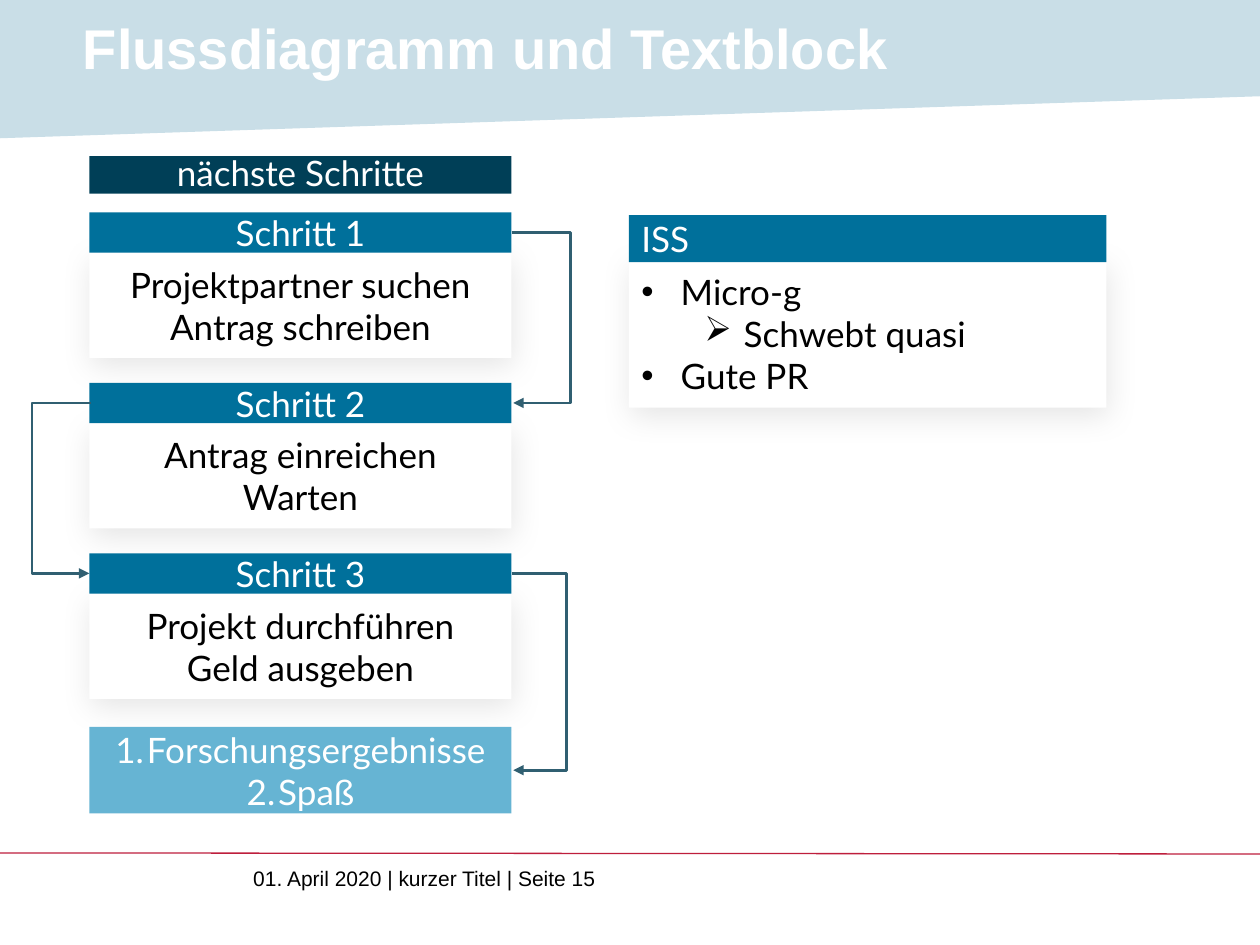
from lxml import etree
from pptx import Presentation
from pptx.dml.color import RGBColor
from pptx.enum.shapes import MSO_CONNECTOR, MSO_SHAPE
from pptx.enum.text import MSO_ANCHOR, PP_ALIGN
from pptx.oxml.ns import qn
from pptx.util import Pt

RECTANGLE = MSO_SHAPE.RECTANGLE
STRAIGHT, ELBOW = MSO_CONNECTOR.STRAIGHT, MSO_CONNECTOR.ELBOW
TOP, MIDDLE = MSO_ANCHOR.TOP, MSO_ANCHOR.MIDDLE
LEFT, CENTER = PP_ALIGN.LEFT, PP_ALIGN.CENTER

COLORS = {
    "band": "2F81A3", "dark": "003F57", "header": "00709B", "result": "66B4D3",
    "arrow": "305F71", "rule": "BE1E3C", "white": "FFFFFF", "black": "000000",
}
BODY_FONT = {"name": "Lato", "size": Pt(20), "bold": False}
TITLE_FONT = {"name": "Arial", "size": Pt(32), "bold": True}
FOOTER_FONT = {"name": "Arial", "size": Pt(12), "bold": False}


def write(shape, lines, color, font_format, align=LEFT, anchor=MIDDLE):
    """Fill the shape with (text, level, margin, hanging, bullet) lines; a plain string has no bullet."""
    frame = shape.text_frame
    frame.word_wrap = True
    frame.vertical_anchor = anchor
    for index, line in enumerate(lines):
        paragraph = frame.paragraphs[0] if index == 0 else frame.add_paragraph()
        if isinstance(line, tuple):
            line, level, margin, hanging, bullet = line
            paragraph.level = level
            properties = paragraph._p.get_or_add_pPr()
            properties.set("marL", str(Pt(margin)))
            properties.set("indent", str(-Pt(hanging)))
            if bullet == "1.":
                etree.SubElement(properties, qn("a:buAutoNum"), type="arabicPeriod")
            else:
                typeface = "Arial" if bullet == "•" else "Wingdings"
                if bullet == "•":
                    etree.SubElement(properties, qn("a:buFont"), typeface=typeface)
                etree.SubElement(properties, qn("a:buChar"), char=bullet)
        paragraph.alignment = align
        run = paragraph.add_run()
        run.text = line
        for name, value in font_format.items():
            setattr(run.font, name, value)
        run.font.color.rgb = RGBColor.from_string(COLORS[color])


def add_box(left, top, width, height, fill, lines, color="white", align=CENTER, shadow=False):
    shape = slide.shapes.add_shape(RECTANGLE, Pt(left), Pt(top), Pt(width), Pt(height))
    shape.fill.solid()
    shape.fill.fore_color.rgb = RGBColor.from_string(COLORS[fill])
    shape.line.fill.background()
    shape.shadow.inherit = False
    if shadow:
        effects = shape._element.spPr.find(qn("a:effectLst"))
        outer = etree.SubElement(effects, qn("a:outerShdw"), blurRad=str(Pt(18)), dist=str(Pt(5)),
                                 dir=str(78 * 60000), algn="t", rotWithShape="0")
        shade = etree.SubElement(outer, qn("a:srgbClr"), val=COLORS["black"])
        etree.SubElement(shade, qn("a:alpha"), val="10000")
    write(shape, lines, color, BODY_FONT, align)
    return shape


presentation = Presentation()
presentation.slide_width, presentation.slide_height = Pt(720), Pt(540)
slide = presentation.slides.add_slide(presentation.slide_layouts[6])

# Title band
builder = slide.shapes.build_freeform(0, 0)
builder.add_line_segments([(Pt(x), Pt(y)) for x, y in [(720, 0), (720, 55), (0, 79)]])
band = builder.convert_to_shape()
band.fill.solid()
band.fill.fore_color.rgb = RGBColor.from_string(COLORS["band"])
band_color = band._element.spPr.find(qn("a:solidFill"))[0]
etree.SubElement(band_color, qn("a:alpha"), val="26000")
band.line.fill.background()
band.shadow.inherit = False

title = slide.shapes.add_textbox(Pt(40.3), Pt(4.3), Pt(625.7), Pt(55.4))
write(title, ["Flussdiagramm und Textblock"], "white", TITLE_FONT, anchor=TOP)

# Flow column
COLUMN_LEFT, COLUMN_WIDTH = 51.1, 241.2
COLUMN_RIGHT = COLUMN_LEFT + COLUMN_WIDTH
STEP_TOP, STEP_PITCH, HEADER_HEIGHT, BODY_HEIGHT = 121.4, 97.4, 23, 60.2
RESULT_TOP, RESULT_HEIGHT = 415.4, 49.4

heading = add_box(COLUMN_LEFT, 89.2, COLUMN_WIDTH, 21.5, "dark", ["nächste Schritte"])
heading.text_frame.paragraphs[0].line_spacing = 0.9

steps = [
    ["Projektpartner suchen", "Antrag schreiben"],
    ["Antrag einreichen", "Warten"],
    ["Projekt durchführen", "Geld ausgeben"],
]
stops = []
for index, tasks in enumerate(steps):
    top = STEP_TOP + index * STEP_PITCH
    add_box(COLUMN_LEFT, top + HEADER_HEIGHT, COLUMN_WIDTH, BODY_HEIGHT, "white", tasks,
            color="black", shadow=True)
    add_box(COLUMN_LEFT, top, COLUMN_WIDTH, HEADER_HEIGHT, "header", [f"Schritt {index + 1}"])
    stops.append(top + HEADER_HEIGHT / 2)

results = [(text, 0, 18, 18, "1.") for text in ["Forschungsergebnisse", "Spaß"]]
add_box(COLUMN_LEFT, RESULT_TOP, COLUMN_WIDTH, RESULT_HEIGHT, "result", results)
stops.append(RESULT_TOP + RESULT_HEIGHT / 2)

# Text block
BLOCK_LEFT, BLOCK_WIDTH = 359.4, 272.8
facts = [
    ("Micro-g", 0, 22.5, 22.5, "•"),
    ("Schwebt quasi", 1, 58.5, 22.5, "➢"),
    ("Gute PR", 0, 22.5, 22.5, "•"),
]
add_box(BLOCK_LEFT, 148, BLOCK_WIDTH, 85, "white", facts, color="black", align=LEFT, shadow=True)
add_box(BLOCK_LEFT, 123, BLOCK_WIDTH, 26.8, "header", ["ISS"], align=LEFT)

# Lines: kind, start, end, colour, width, detour beside the column
routes = [(COLUMN_RIGHT, COLUMN_RIGHT + 1, 33.8), (COLUMN_LEFT + 1, COLUMN_LEFT, 34),
          (COLUMN_RIGHT, COLUMN_RIGHT + 1, 31.7)]
lines = [(STRAIGHT, (0, 487.4), (720, 488), "rule", 0.75, None)]
for (start, end, detour), start_y, end_y in zip(routes, stops, stops[1:]):
    lines.append((ELBOW, (start, start_y), (end, end_y), "arrow", 1.5, detour))

for kind, start, end, color, width, detour in lines:
    connector = slide.shapes.add_connector(kind, *map(Pt, start + end))
    connector.line.color.rgb = RGBColor.from_string(COLORS[color])
    connector.line.width = Pt(width)
    properties = connector._element.spPr
    if detour:
        # The elbow is one point wide, so the adjustment counts points.
        guides = properties.find(qn("a:prstGeom")).get_or_add_avLst()
        etree.SubElement(guides, qn("a:gd"), name="adj1", fmla=f"val {round(detour * 100000)}")
        etree.SubElement(connector.line._get_or_add_ln(), qn("a:tailEnd"), type="triangle")
    etree.SubElement(properties, qn("a:effectLst"))

# Footer
footer = slide.shapes.add_textbox(Pt(144.7), Pt(494.6), Pt(207.4), Pt(28.8))
write(footer, ["01. April 2020 | kurzer Titel | Seite 15"], "black", FOOTER_FONT, anchor=TOP)
footer.text_frame.word_wrap = False
for side in ("left", "top", "right", "bottom"):
    setattr(footer.text_frame, f"margin_{side}", 0)

presentation.save("out.pptx")
